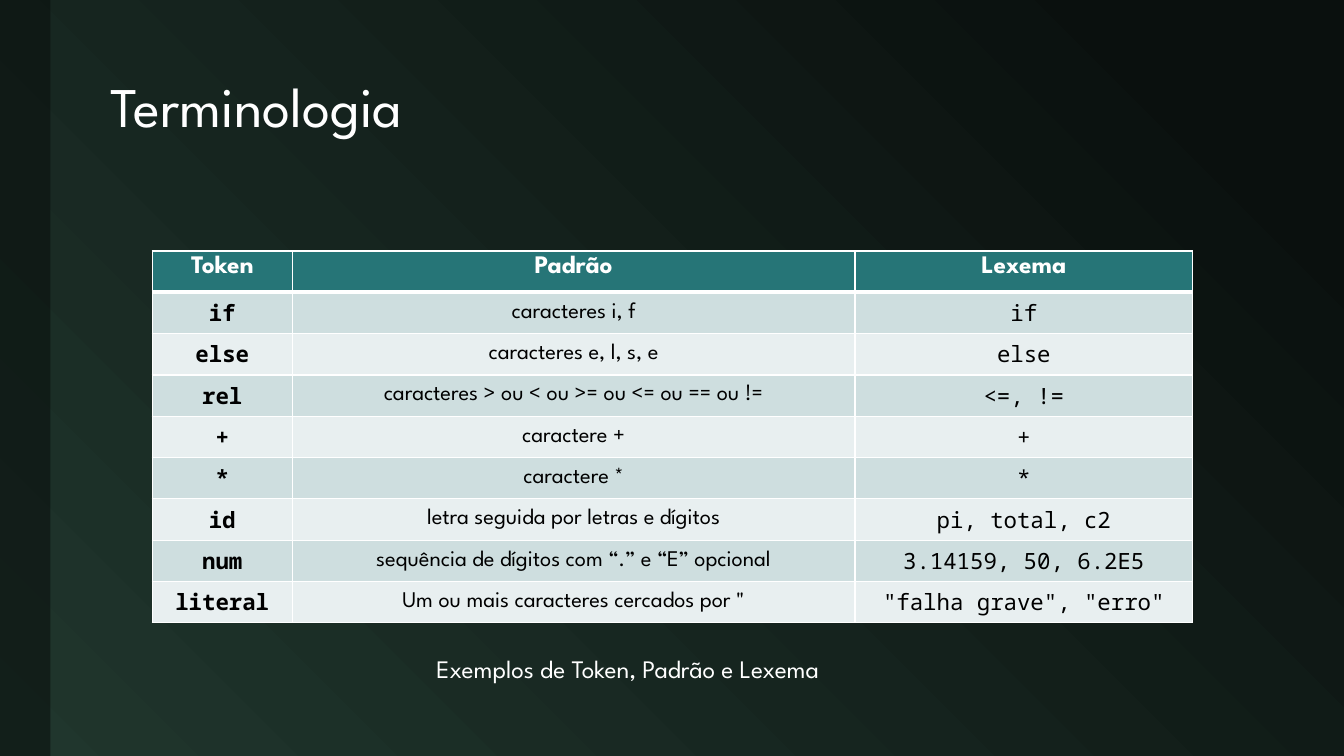
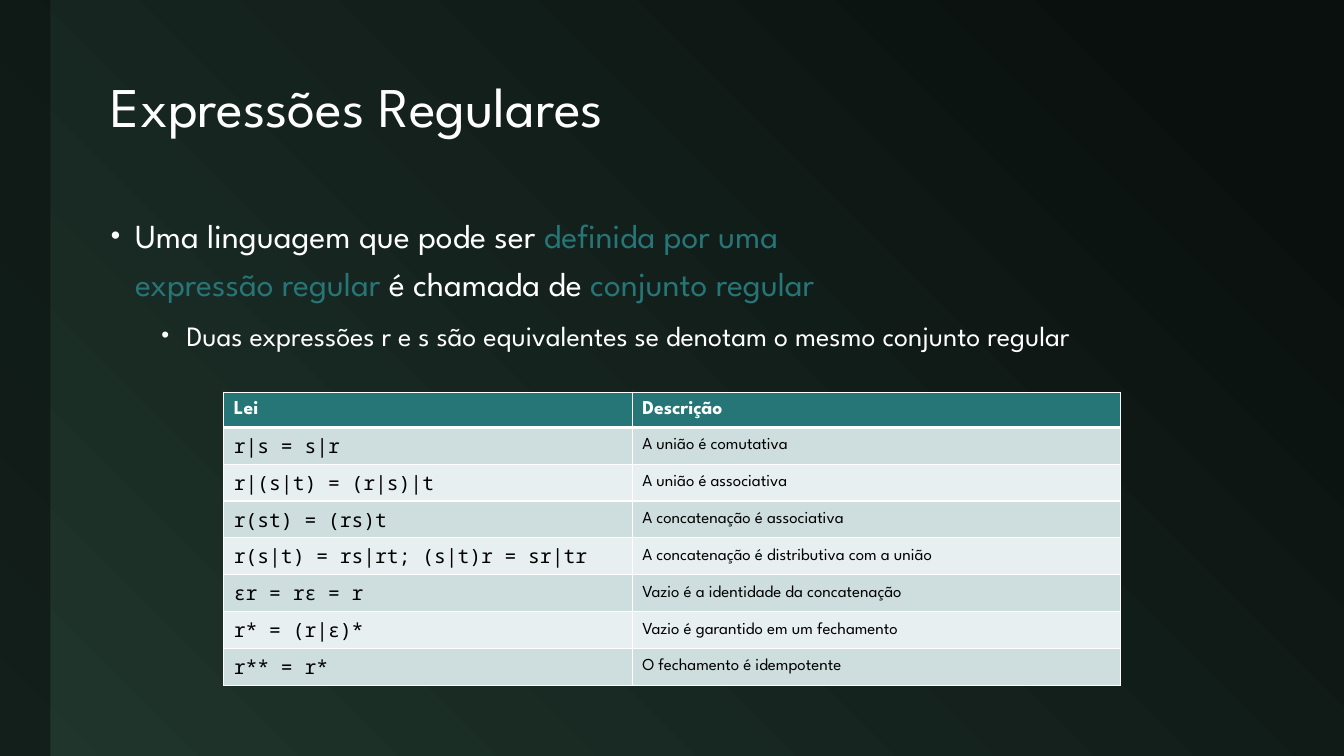
from pptx import Presentation, util as u
from pptx.dml.color import RGBColor
from pptx.enum import shapes, text
from pptx.oxml import parse_xml
from pptx.oxml.ns import nsdecls, qn

Inches, Pt = u.Inches, u.Pt
DARK, MOSS, TEAL = "0A100E", "20362D", "267577"
WHITE, BLACK = "FFFFFF", "000000"
STRIPES = "CEDEDF", "E8EFF0"
SANS, MONO = "League Spartan", "Noto Sans Mono"
LEFT, CENTER = text.PP_ALIGN.LEFT, text.PP_ALIGN.CENTER
TOP, MIDDLE = text.MSO_ANCHOR.TOP, text.MSO_ANCHOR.MIDDLE
TITLE_ONLY, TITLE_BODY = 5, 1


def rgb(code):
    return RGBColor.from_string(code)


def xml(tag, inner="", **attrs):
    """Build a DrawingML element from its tag, inner markup and attributes."""
    pairs = " ".join(f'{key}="{val}"' for key, val in attrs.items())
    return parse_xml(f'<a:{tag} {nsdecls("a")} {pairs}>{inner}</a:{tag}>')


def place(shape, left, top, width, height):
    shape.left, shape.top = Inches(left), Inches(top)
    shape.width, shape.height = Inches(width), Inches(height)


def add_run(para, words, size, color=WHITE, font=SANS, bold=False):
    run = para.add_run()
    run.text = words
    run.font.name, run.font.size, run.font.bold = font, Pt(size), bold
    run.font.color.rgb = rgb(color)


def set_bullet(para, left, hang):
    props = para._p.get_or_add_pPr()
    props.set("marL", str(Inches(left)))
    props.set("indent", str(-Inches(hang)))
    props.append(xml("buSzPct", val=80000))
    props.append(xml("buFont", typeface="Arial"))
    props.append(xml("buChar", char="•"))


def set_edges(cell, top, bottom):
    """Draw white cell borders; top and bottom are widths in points."""
    props = cell._tc.get_or_add_tcPr()
    fill = f'<a:solidFill><a:srgbClr val="{WHITE}"/></a:solidFill>'
    sides = ("lnL", 1), ("lnR", 1), ("lnT", top), ("lnB", bottom)
    for spot, (tag, width) in enumerate(sides):
        props.insert(spot, xml(tag, fill, w=Pt(width)))


class Deck:
    def __init__(self):
        self.prs = Presentation()
        self.prs.slide_width, self.prs.slide_height = Inches(13.33), Inches(7.5)
        fill = self.prs.slide_master.background.fill
        fill.gradient()
        fill.gradient_angle = 225
        for stop, spot, color in zip(fill.gradient_stops, (0.1, 1), (DARK, MOSS)):
            stop.position, stop.color.rgb = spot, rgb(color)

    def start(self, title, layout):
        self.slide = self.prs.slides.add_slide(self.prs.slide_layouts[layout])
        self.band()
        head = self.slide.shapes.title
        place(head, 1, 0.42, 11.65, 1.33)
        frame = head.text_frame
        frame.auto_size = text.MSO_AUTO_SIZE.NONE
        frame.vertical_anchor = MIDDLE
        para = frame.paragraphs[0]
        para.alignment, para.line_spacing = LEFT, 0.9
        add_run(para, title, 40)

    def band(self):
        kind = shapes.MSO_SHAPE.RECTANGLE
        band = self.slide.shapes.add_shape(kind, 0, 0, Inches(0.5), Inches(7.5))
        band.shadow.inherit = False
        band.line.fill.background()
        band.fill.solid()
        band.fill.fore_color.rgb = rgb(DARK)
        tint = band._element.spPr.find(qn("a:solidFill"))[0]
        tint.append(xml("alpha", val=60000))

    def bullets(self, items):
        """Fill the body; an item is level, left, hang, size and (words, color) runs."""
        body = self.slide.placeholders[1]
        place(body, 1, 2, 11.65, 4.83)
        frame = body.text_frame
        frame.auto_size = text.MSO_AUTO_SIZE.NONE
        for num, (level, left, hang, size, runs) in enumerate(items):
            para = frame.add_paragraph() if num else frame.paragraphs[0]
            para.level = level
            set_bullet(para, left, hang)
            para.line_spacing = 1.2
            para.space_before = Pt(6 if num else 0)
            for words, color in runs:
                if words == "\n":
                    para.add_line_break()
                else:
                    add_run(para, words, size, color)

    def table(self, left, top, widths, height, rows, styles, size, align, anchor):
        """Styles give font, size, bold and anchor by column; size and anchor are the header's."""
        area = Inches(left), Inches(top), Inches(sum(widths)), Inches(height * len(rows))
        grid = self.slide.shapes.add_table(len(rows), len(widths), *area).table
        for col, width in zip(grid.columns, widths):
            col.width = Inches(width)
        for num, row in enumerate(rows):
            grid.rows[num].height = Inches(height)
            for col, words in enumerate(row):
                cell = grid.cell(num, col)
                para = cell.text_frame.paragraphs[0]
                para.alignment = align
                cell.fill.solid()
                if num == 0:
                    fill, cell.vertical_anchor = TEAL, anchor
                    add_run(para, words, size, bold=True)
                else:
                    font, points, bold, cell.vertical_anchor = styles[col]
                    fill = STRIPES[(num - 1) % 2]
                    add_run(para, words, points, BLACK, font, bold)
                cell.fill.fore_color.rgb = rgb(fill)
                set_edges(cell, 3 if num == 1 else 1, 1 if num else 3)

    def note(self, words, left, top, width, height):
        area = map(Inches, (left, top, width, height))
        frame = self.slide.shapes.add_textbox(*area).text_frame
        frame.word_wrap = True
        add_run(frame.paragraphs[0], words, 18)


def terms(deck):
    deck.start("Terminologia", TITLE_ONLY)
    rows = [
        ("Token", "Padrão", "Lexema"),
        ("if", "caracteres i, f", "if"),
        ("else", "caracteres e, l, s, e", "else"),
        ("rel", "caracteres > ou < ou >= ou <= ou == ou !=", "<=, !="),
        ("+", "caractere +", "+"),
        ("*", "caractere *", "*"),
        ("id", "letra seguida por letras e dígitos", "pi, total, c2"),
        ("num", "sequência de dígitos com “.” e “E” opcional", "3.14159, 50, 6.2E5"),
        ("literal", 'Um ou mais caracteres cercados por "', '"falha grave", "erro"'),
    ]
    styles = [(MONO, 16, True, MIDDLE), (SANS, 16, False, MIDDLE), (MONO, 16, False, MIDDLE)]
    deck.table(1.51, 2.49, (1.39, 5.58, 3.35), 0.41, rows, styles, 18, CENTER, TOP)
    deck.note("Exemplos de Token, Padrão e Lexema", 4.23, 6.43, 4.87, 0.4)


def laws(deck):
    deck.start("Expressões Regulares", TITLE_BODY)
    deck.bullets([
        (0, 0.24, 0.24, 24, [
            ("Uma linguagem que pode ser ", WHITE),
            ("definida por uma", TEAL),
            ("\n", TEAL),
            ("expressão regular ", TEAL),
            ("é chamada de ", WHITE),
            ("conjunto regular", TEAL),
        ]),
        (1, 0.75, 0.25, 20, [
            ("Duas expressões r e s são equivalentes se denotam o mesmo conjunto regular", WHITE),
        ]),
    ])
    rows = [
        ("Lei", "Descrição"),
        ("r|s = s|r", "A união é comutativa"),
        ("r|(s|t) = (r|s)|t", "A união é associativa"),
        ("r(st) = (rs)t", "A concatenação é associativa"),
        ("r(s|t) = rs|rt; (s|t)r = sr|tr", "A concatenação é distributiva com a união"),
        ("ϵr = rϵ = r", "Vazio é a identidade da concatenação"),
        ("r* = (r|ϵ)*", "Vazio é garantido em um fechamento"),
        ("r** = r*", "O fechamento é idempotente"),
    ]
    styles = [(MONO, 14, False, TOP), (SANS, 12, False, MIDDLE)]
    deck.table(2.22, 3.89, (4.05, 4.84), 0.35, rows, styles, 14, LEFT, MIDDLE)


def main():
    deck = Deck()
    terms(deck)
    laws(deck)
    deck.prs.save("out.pptx")


if __name__ == "__main__":
    main()
